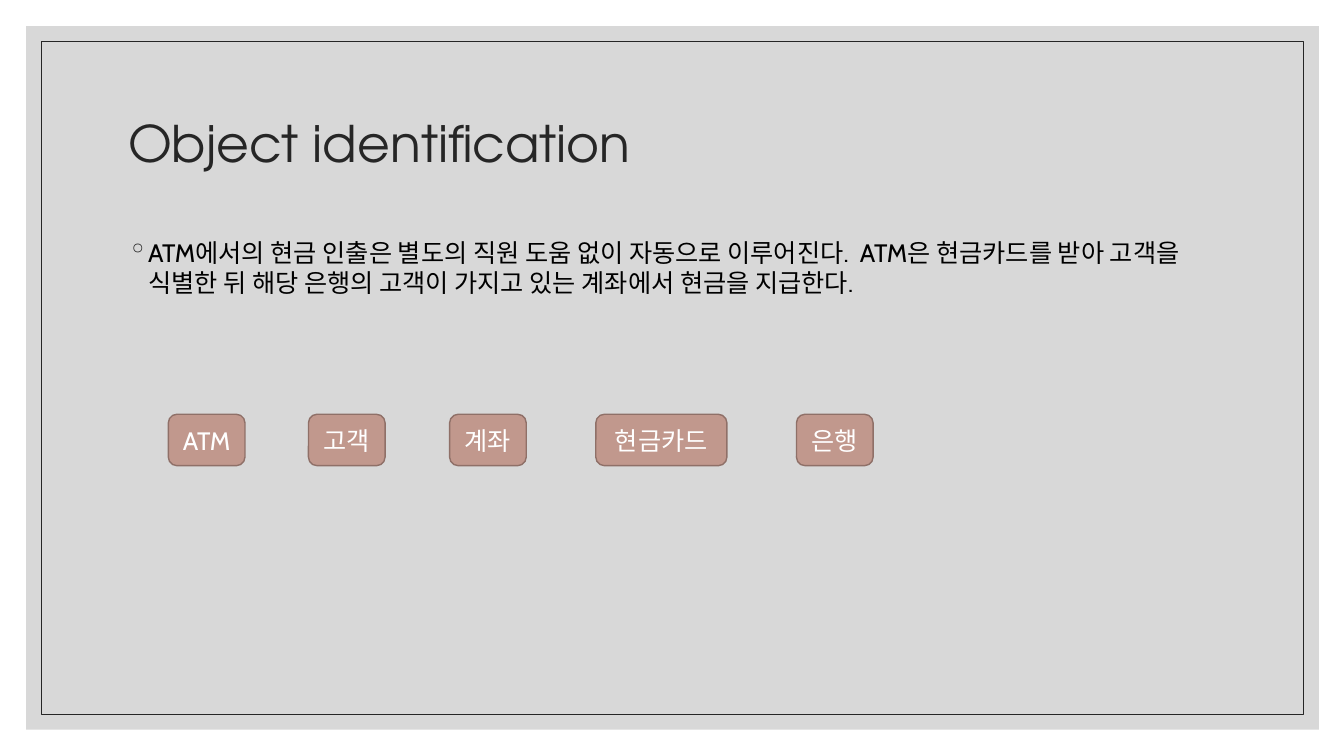
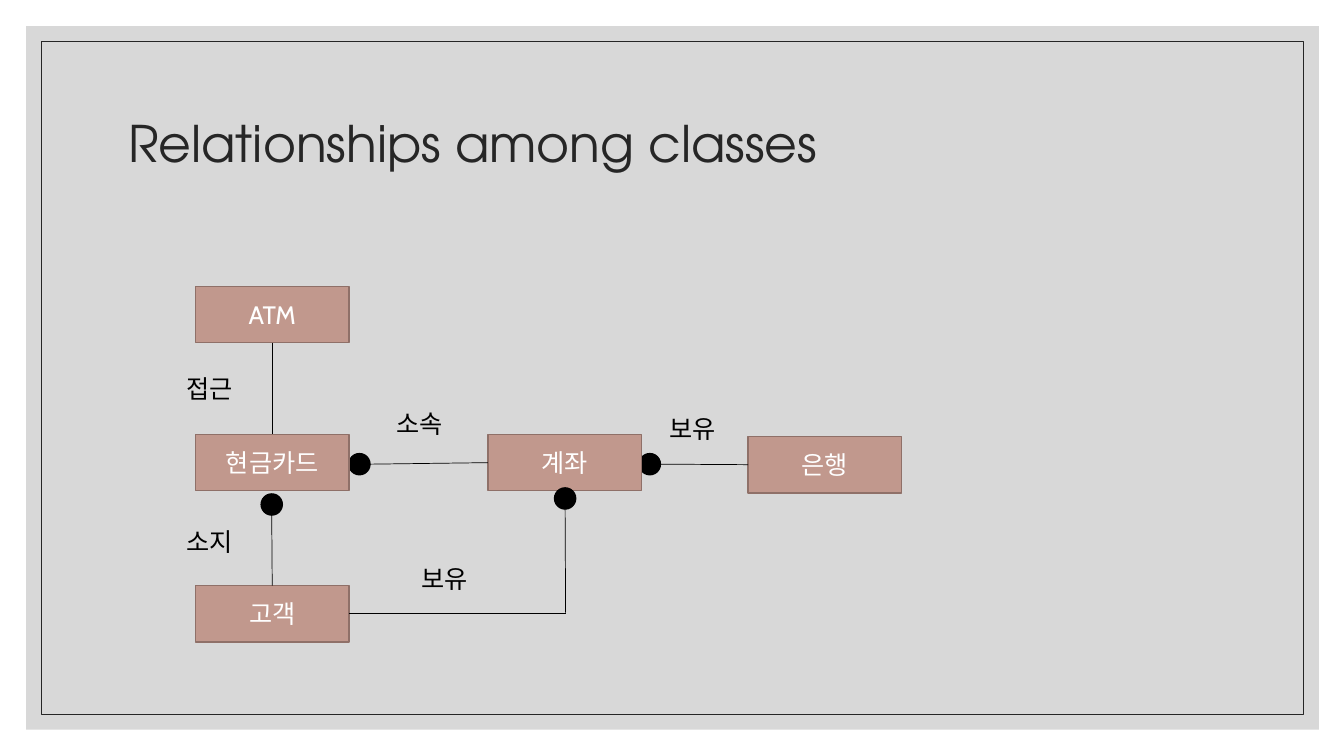
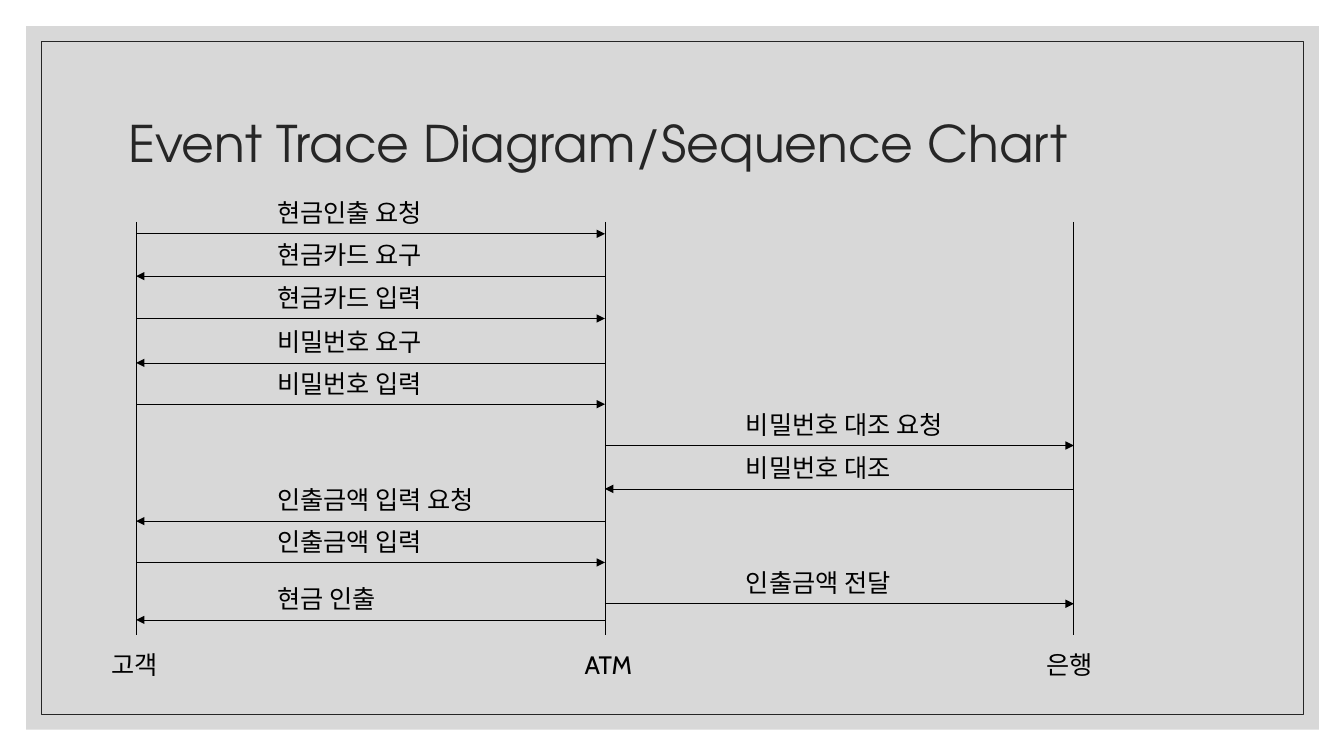
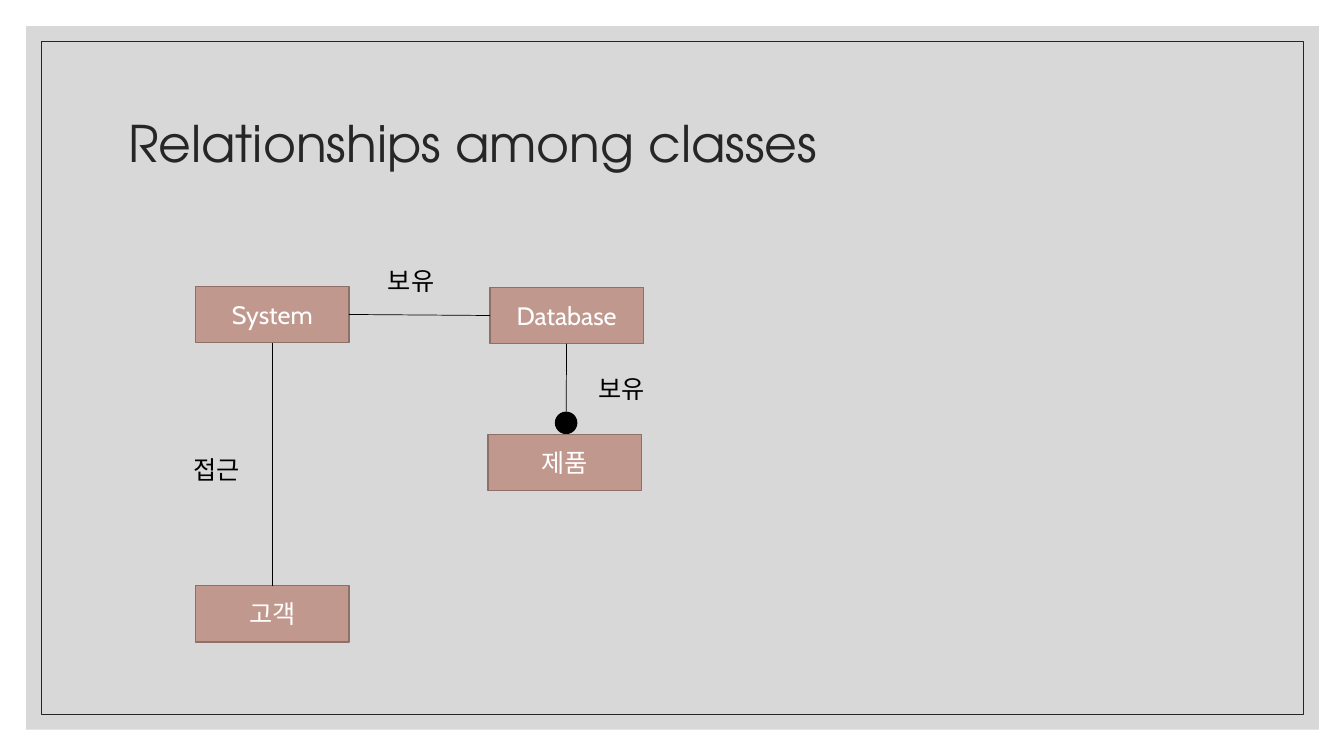
from lxml.etree import SubElement
from pptx import Presentation
from pptx.dml.color import RGBColor
from pptx.enum.shapes import MSO_CONNECTOR, MSO_SHAPE
from pptx.enum.text import MSO_ANCHOR, MSO_AUTO_SIZE, PP_ALIGN
from pptx.oxml.ns import qn
from pptx.util import Pt

PX = 9144  # 100 px to the inch
COLORS = {"panel": "BFBFBF", "ink": "262626", "box": "C1988D",
          "edge": "8F7068", "white": "FFFFFF", "black": "000000"}
TITLE_FONT, BODY_FONT = "TeX Gyre Adventor", "Cabin"

# Connection site number, then the place of the site on the shape
SIDES = {"top": (0, 0.5, 0), "left": (1, 0, 0.5),
         "bottom": (2, 0.5, 1), "right": (3, 1, 0.5)}
CLASS_W, CLASS_H, DOT = 152, 56, 21
LABEL_W, LABEL_H = 77, 40

STATEMENT = ("ATM에서의 현금 인출은 별도의 직원 도움 없이 자동으로 이루어진다.  "
             "ATM은 현금카드를 받아 고객을 식별한 뒤 해당 은행의 고객이 "
             "가지고 있는 계좌에서 현금을 지급한다.")
OBJECTS = [("ATM", 167, 76), ("고객", 306, 76), ("계좌", 446, 76),
           ("현금카드", 591, 130), ("은행", 790, 76)]

# Nodes are (key, class name or None for a "many" dot, x, y), back to front;
# a link end is a (node key, side) pair or an (x, y) point.
ATM_MODEL = {
    "nodes": [("atm", "ATM", 194, 284), ("card many", None, 346, 450),
              ("card", "현금카드", 194, 431), ("bank", "은행", 742, 433),
              ("customer", "고객", 194, 581), ("held many", None, 259, 490),
              ("account many", None, 634, 450),
              ("account", "계좌", 484, 431),
              ("owned many", None, 550, 484)],
    "links": [(("atm", "bottom"), ("card", "top")),
              (("card many", "right"), ("account", "left")),
              (("held many", "bottom"), ("customer", "top")),
              (("account many", "right"), ("bank", "left")),
              (("customer", "right"), (561, 609)),
              ((561, 609), ("owned many", "bottom"))],
    "labels": [("접근", 175, 365), ("소지", 175, 517), ("보유", 654, 405),
               ("소속", 383, 400), ("보유", 408, 554)],
}
SHOP_MODEL = {
    "nodes": [("system", "System", 194, 284),
              ("database", "Database", 486, 285),
              ("customer", "고객", 194, 581),
              ("product many", None, 551, 409),
              ("product", "제품", 484, 431)],
    "links": [(("system", "right"), ("database", "left")),
              (("database", "bottom"), ("product many", "top")),
              (("system", "bottom"), ("customer", "top"))],
    "labels": [("접근", 182, 446), ("보유", 584, 365), ("보유", 375, 258)],
}

LANE_TOP, LANE_BOTTOM = 220, 630
LANES = {"고객": (135, 101), "ATM": (600, 570), "은행": (1065, 1028)}  # line x, name x
MESSAGES = [
    ("고객", "ATM", 232, "현금인출 요청"),
    ("ATM", "고객", 274, "현금카드 요구"),
    ("고객", "ATM", 316, "현금카드 입력"),
    ("ATM", "고객", 360, "비밀번호 요구"),
    ("고객", "ATM", 401, "비밀번호 입력"),
    ("ATM", "은행", 442, "비밀번호 대조 요청"),
    ("은행", "ATM", 485, "비밀번호 대조"),
    ("ATM", "고객", 517, "인출금액 입력 요청"),
    ("고객", "ATM", 558, "인출금액 입력"),
    ("ATM", "은행", 599, "인출금액 전달"),
    ("ATM", "고객", 615, "현금 인출"),
]


def rgb(name):
    return RGBColor.from_string(COLORS[name])


def emu(*lengths):
    return [round(v * PX) for v in lengths]


def write(tf, text, color, font=BODY_FONT, size=18, align=PP_ALIGN.LEFT):
    p = tf.paragraphs[0]
    p.alignment = align
    r = p.add_run()
    r.text = text
    r.font.name, r.font.size = font, Pt(size)
    r.font.color.rgb = rgb(color)
    return p


def add_shape(s, kind, box, fill, line, width=1):
    sp = s.shapes.add_shape(kind, *emu(*box))
    sp.shadow.inherit = False
    if fill:
        sp.fill.solid()
        sp.fill.fore_color.rgb = rgb(fill)
    else:
        sp.fill.background()
    if line:
        sp.line.color.rgb = rgb(line)
        sp.line.width = Pt(width)
    else:
        sp.line.fill.background()
    return sp


def add_box(s, kind, box, text):
    sp = add_shape(s, kind, box, "box", "edge")
    sp.text_frame.vertical_anchor = MSO_ANCHOR.MIDDLE
    write(sp.text_frame, text, "white", align=PP_ALIGN.CENTER)
    return sp


def add_label(s, text, x, y, w=LABEL_W, h=LABEL_H, grow=True):
    tf = s.shapes.add_textbox(*emu(x, y, w, h)).text_frame
    tf.word_wrap = True
    if grow:
        tf.auto_size = MSO_AUTO_SIZE.SHAPE_TO_FIT_TEXT
    return write(tf, text, "black")


def add_line(s, start, end, arrow=False):
    c = s.shapes.add_connector(MSO_CONNECTOR.STRAIGHT, *emu(*start, *end))
    c.line.color.rgb = rgb("black")
    c.line.width = Pt(0.5)
    if arrow:
        SubElement(c.get_or_add_ln(), qn("a:tailEnd"), type="triangle")
    SubElement(c.element.spPr, qn("a:effectLst"))
    return c


def prepare_layout(layout, s):
    """Place the title and move the shared panel and frame into the layout."""
    title = layout.placeholders[0]
    title.left, title.top, title.width, title.height = emu(117, 70, 1100, 150)
    panel = add_shape(s, MSO_SHAPE.RECTANGLE, (26, 26, 1282, 698), "panel", None)
    tint = panel.element.spPr.find(".//" + qn("a:srgbClr"))
    SubElement(tint, qn("a:alpha"), val="60000")
    frame = add_shape(s, MSO_SHAPE.RECTANGLE, (41, 41, 1252, 668), None, "ink", 0.5)
    for i, sp in enumerate((panel, frame)):
        layout.shapes.element.insert(2 + i, sp.element)


def set_title(s, text):
    tf = s.shapes.title.text_frame
    tf.auto_size = MSO_AUTO_SIZE.NONE
    tf.vertical_anchor = MSO_ANCHOR.MIDDLE
    write(tf, text, "ink", TITLE_FONT, 36).line_spacing = 0.9


def draw_objects(s):
    p = add_label(s, STATEMENT, 117, 230, 1100, 421, grow=False)
    p.space_before = Pt(9)
    pPr = p._p.get_or_add_pPr()
    indent = 20 * PX
    pPr.set("marL", str(indent))
    pPr.set("indent", str(-indent))
    SubElement(SubElement(pPr, qn("a:buClr")), qn("a:srgbClr"), val=COLORS["ink"])
    SubElement(pPr, qn("a:buChar"), char="◦")
    for name, x, w in OBJECTS:
        add_box(s, MSO_SHAPE.ROUNDED_RECTANGLE, (x, 411, w, 51), name)


def draw_model(s, model):
    boxes, classes = {}, {}
    for key, name, x, y in model["nodes"]:
        if name:
            boxes[key] = x, y, CLASS_W, CLASS_H
            classes[key] = add_box(s, MSO_SHAPE.RECTANGLE, boxes[key], name)
        else:
            boxes[key] = x, y, DOT, DOT
            add_shape(s, MSO_SHAPE.OVAL, boxes[key], "black", "black")

    def locate(end):
        if end[0] not in boxes:
            return end
        x, y, w, h = boxes[end[0]]
        _, fx, fy = SIDES[end[1]]
        return x + w * fx, y + h * fy

    for start, end in model["links"]:
        c = add_line(s, locate(start), locate(end))
        for (key, side), connect in ((start, c.begin_connect), (end, c.end_connect)):
            if key in classes:
                connect(classes[key], SIDES[side][0])
    for label in model["labels"]:
        add_label(s, *label)


def draw_sequence(s):
    for name, (x, name_x) in LANES.items():
        add_line(s, (x, LANE_TOP), (x, LANE_BOTTOM))
        add_label(s, name, name_x, 639, 97)
    for source, target, y, text in MESSAGES:
        x1, x2 = LANES[source][0], LANES[target][0]
        add_line(s, (x1, y), (x2, y), arrow=True)
        add_label(s, text, min(x1, x2) + 130, y - 41, 182 if len(text) < 8 else 250)


SLIDES = [
    ("Object identification", draw_objects, ()),
    ("Relationships among classes", draw_model, (ATM_MODEL,)),
    ("Event Trace Diagram/Sequence Chart", draw_sequence, ()),
    ("Relationships among classes", draw_model, (SHOP_MODEL,)),
]


def main():
    prs = Presentation()
    prs.slide_width, prs.slide_height = emu(1333, 750)
    layout = prs.slide_layouts.get_by_name("Title Only")
    for i, (title, draw, args) in enumerate(SLIDES):
        s = prs.slides.add_slide(layout)
        if i == 0:
            prepare_layout(layout, s)
        set_title(s, title)
        draw(s, *args)
    prs.save("out.pptx")


if __name__ == "__main__":
    main()
